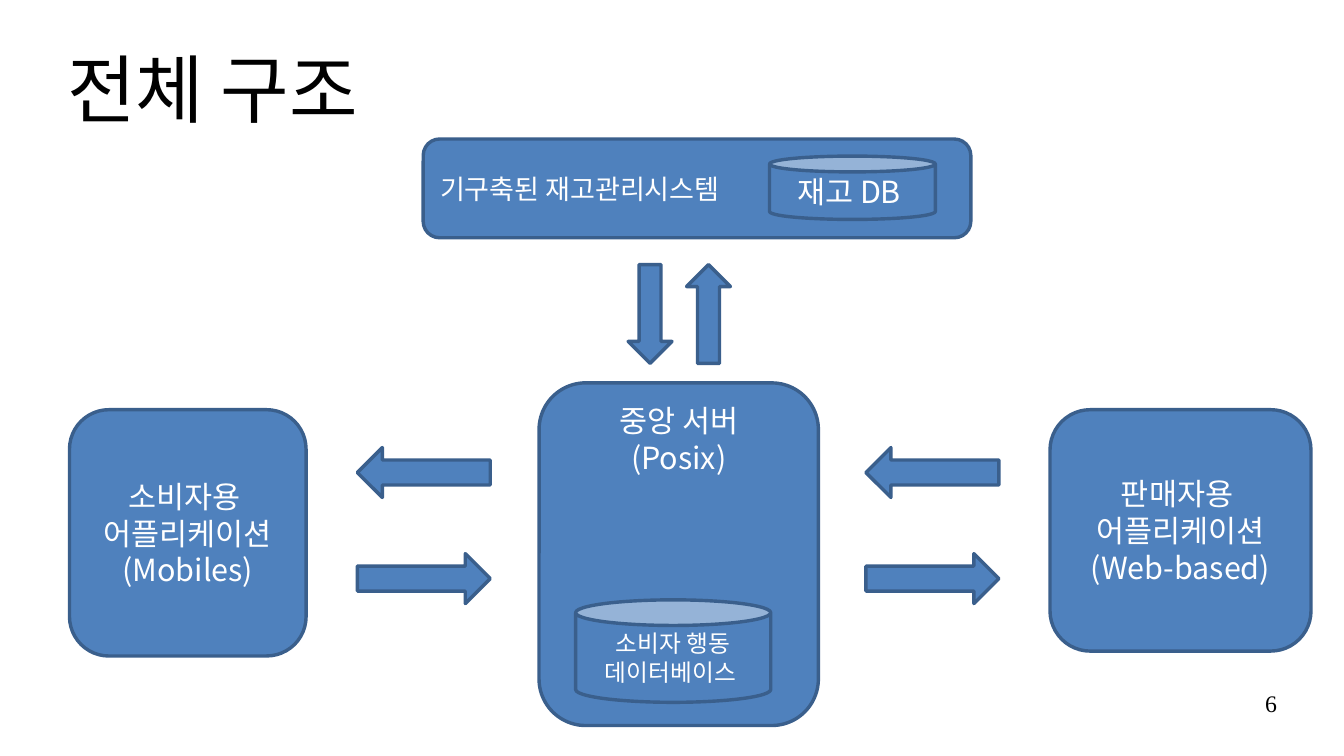
import pptx
import pptx.util
import pptx.dml.color
import pptx.enum.shapes
import pptx.enum.text
import pptx.oxml
import pptx.oxml.ns

Inches = pptx.util.Inches
SHAPE = pptx.enum.shapes.MSO_SHAPE
ALIGN = pptx.enum.text.PP_ALIGN
ANCHOR = pptx.enum.text.MSO_ANCHOR

COLORS = {"fill": "4F81BD", "line": "3A5F8C", "light": "FFFFFF", "dark": "000000"}
KOREAN_FONT = "Noto Sans CJK KR"
NUMBER_FONT = "Times New Roman"


def color(name):
    return pptx.dml.color.RGBColor.from_string(COLORS[name])


def add_run(paragraph, text, size, color_name, font_name):
    run = paragraph.add_run()
    run.text = text
    run.font.size = pptx.util.Pt(size)
    run.font.color.rgb = color(color_name)
    run.font.name = font_name
    east_asian = pptx.oxml.parse_xml(
        f'<a:ea {pptx.oxml.ns.nsdecls("a")} typeface="{font_name}"/>')
    run.font._element.find(pptx.oxml.ns.qn("a:latin")).addnext(east_asian)


def write_lines(paragraph, lines, size, color_name, font_name=KOREAN_FONT):
    for index, line in enumerate(lines):
        if index:
            paragraph.add_line_break()
        add_run(paragraph, line, size, color_name, font_name)


def add_block(slide, kind, box, lines=(), size=18, align=ALIGN.CENTER,
              anchor=ANCHOR.MIDDLE):
    """Blue outlined shape with light text."""
    shape = slide.shapes.add_shape(kind, *map(Inches, box))
    shape.shadow.inherit = False
    shape.fill.solid()
    shape.fill.fore_color.rgb = color("fill")
    shape.line.color.rgb = color("line")
    shape.line.width = pptx.util.Pt(2)
    frame = shape.text_frame
    frame.word_wrap = True
    frame.vertical_anchor = anchor
    frame.paragraphs[0].alignment = align
    write_lines(frame.paragraphs[0], lines, size, "light")
    return shape


def add_label(slide, box, text, size, font_name, align, anchor):
    """Plain text without margins."""
    frame = slide.shapes.add_textbox(*map(Inches, box)).text_frame
    frame.word_wrap = True
    frame.vertical_anchor = anchor
    frame.margin_left = frame.margin_right = frame.margin_top = frame.margin_bottom = 0
    paragraph = frame.paragraphs[0]
    paragraph.alignment = align
    write_lines(paragraph, [text], size, "dark", font_name)
    return paragraph


def add_server(slide, box):
    left, top, width, height = box
    add_block(slide, SHAPE.ROUNDED_RECTANGLE, box, ["중앙 서버", "(Posix)"],
              anchor=ANCHOR.TOP)
    add_block(slide, SHAPE.CAN, (left + 0.3, top + height - 1.03, 1.6, 0.84),
              ["소비자 행동", "데이터베이스 "], size=14)


def add_stock_system(slide, box):
    left, top, width, height = box
    add_block(slide, SHAPE.ROUNDED_RECTANGLE, box, ["기구축된 재고관리시스템"],
              size=16, align=ALIGN.LEFT)
    add_block(slide, SHAPE.CAN, (left + width - 1.65, top + 0.14, 1.36, 0.52),
              ["재고 DB "])


def add_application(slide, box, user, platform):
    add_block(slide, SHAPE.ROUNDED_RECTANGLE, box,
              [f"{user} ", "어플리케이션", f"({platform})"])


def add_arrow_pair(slide, box, thickness, vertical=False):
    """Two opposite arrows along the long edges of the box."""
    left, top, width, height = box
    half = thickness / 2
    if vertical:
        length = height
        arrows = [(left + half, top + height / 2, 90),
                  (left + width - half, top + height / 2, 270)]
    else:
        length = width
        arrows = [(left + width / 2, top + half, 180),
                  (left + width / 2, top + height - half, 0)]
    for center_x, center_y, rotation in arrows:
        arrow = add_block(slide, SHAPE.RIGHT_ARROW,
                          (center_x - length / 2, center_y - half, length, thickness))
        arrow.rotation = rotation


def build_structure_slide(slide):
    # Title
    title = add_label(slide, (0.55, 0.25, 9.92, 1.04), "전체 구조", 44,
                      KOREAN_FONT, ALIGN.LEFT, ANCHOR.MIDDLE)
    title.line_spacing = 0.9

    # Systems
    add_server(slide, (4.42, 3.14, 2.29, 2.81))
    add_stock_system(slide, (3.47, 1.14, 4.49, 0.81))
    add_application(slide, (8.61, 3.36, 2.14, 1.98), "판매자용", "Web-based")
    add_application(slide, (0.57, 3.36, 1.94, 2.02), "소비자용", "Mobiles")

    # Data flows
    add_arrow_pair(slide, (5.15, 2.17, 0.84, 0.81), 0.36, vertical=True)
    for left in (2.93, 7.1):
        add_arrow_pair(slide, (left, 3.67, 1.09, 1.28), 0.41)

    # Slide number
    add_label(slide, (7.9, 5.65, 2.57, 0.43), "6", 14, NUMBER_FONT,
              ALIGN.RIGHT, ANCHOR.TOP)


def main():
    presentation = pptx.Presentation()
    presentation.slide_width = Inches(11.02)
    presentation.slide_height = Inches(6.2)
    build_structure_slide(presentation.slides.add_slide(presentation.slide_layouts[6]))
    presentation.save("out.pptx")


if __name__ == "__main__":
    main()
